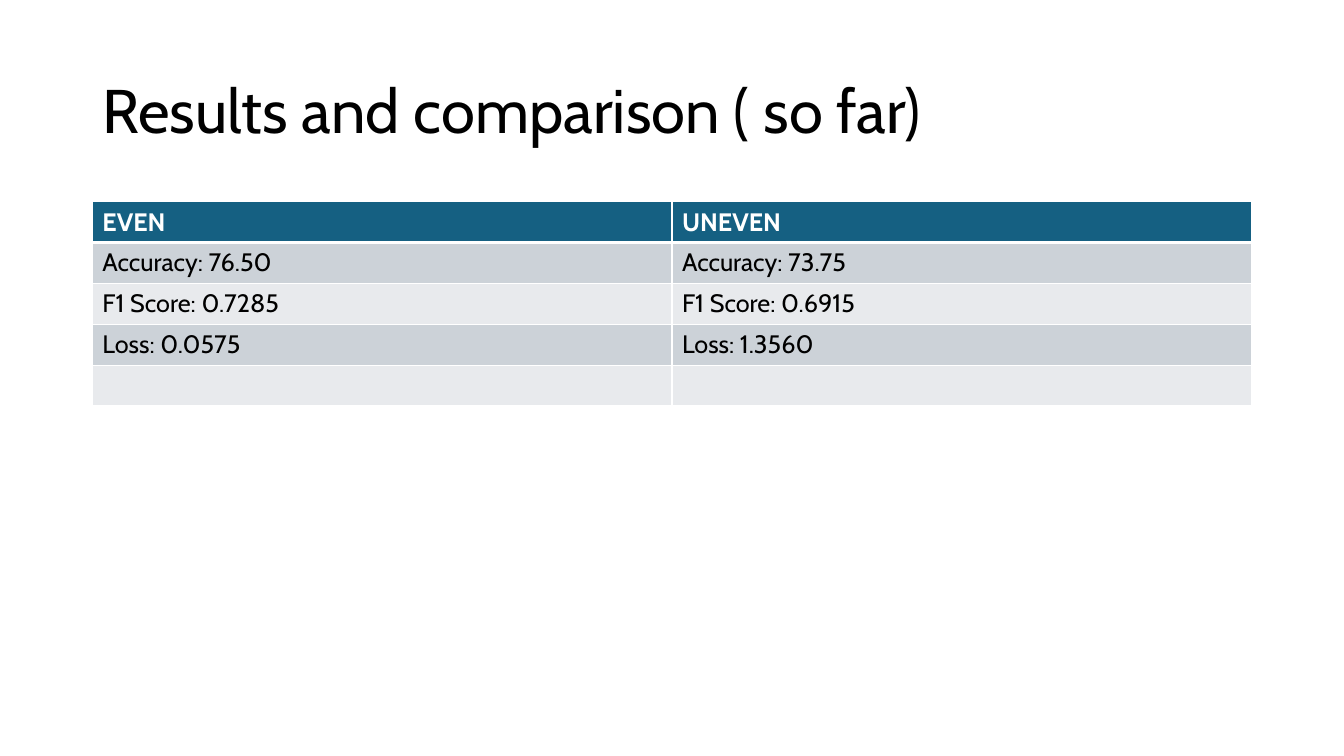
import pptx
import pptx.util
import pptx.dml.color
import pptx.enum.text
import pptx.oxml
import pptx.oxml.ns

Pt = pptx.util.Pt

TITLE = "Results and comparison ( so far)"
ROWS = [
    ("EVEN", "UNEVEN"),
    ("Accuracy: 76.50", "Accuracy: 73.75"),
    ("F1 Score: 0.7285", "F1 Score: 0.6915"),
    ("Loss: 0.0575", "Loss: 1.3560"),
    ("", ""),
]
THEME = {
    "font": "Cabin",
    "title": 44,
    "body": 18,
    "ink": "000000",
    "paper": "FFFFFF",
    "head": "156082",
    "bands": ("E8EAED", "CCD2D8"),
}
LEFT, WIDTH = 66, 828
TITLE_TOP, TITLE_HIGH = 28.8, 104.4
TABLE_TOP, ROW_HIGH = 144, 29.2


def color(name):
    return pptx.dml.color.RGBColor.from_string(name)


def style(para, size, ink, bold=False):
    font = para.font
    font.name = THEME["font"]
    font.size = Pt(size)
    font.bold = bold
    font.color.rgb = color(ink)


def edge(cell, side, width):
    space = pptx.oxml.ns.nsdecls("a")
    return pptx.oxml.parse_xml(
        f'<a:ln{side} {space} w="{Pt(width)}"><a:solidFill>'
        f'<a:srgbClr val="{THEME["paper"]}"/></a:solidFill></a:ln{side}>'
    )


def border(cell, top, base):
    props = cell._tc.get_or_add_tcPr()
    sides = {"L": 1, "R": 1, "T": top, "B": base}
    for spot, (side, width) in enumerate(sides.items()):
        props.insert(spot, edge(cell, side, width))


def add_title(slide):
    box = slide.shapes.add_textbox(
        Pt(LEFT), Pt(TITLE_TOP), Pt(WIDTH), Pt(TITLE_HIGH)
    )
    frame = box.text_frame
    frame.word_wrap = True
    frame.vertical_anchor = pptx.enum.text.MSO_ANCHOR.MIDDLE
    para = frame.paragraphs[0]
    para.text = TITLE
    para.line_spacing = 0.9
    style(para, THEME["title"], THEME["ink"])


def add_table(slide):
    count = len(ROWS[0])
    table = slide.shapes.add_table(
        len(ROWS), count, Pt(LEFT), Pt(TABLE_TOP),
        Pt(WIDTH), Pt(ROW_HIGH * len(ROWS))
    ).table
    for col in table.columns:
        col.width = Pt(WIDTH / count)
    for row, texts in enumerate(ROWS):
        table.rows[row].height = Pt(ROW_HIGH)
        head = row == 0
        fill = THEME["head"] if head else THEME["bands"][row % 2]
        ink = THEME["paper"] if head else THEME["ink"]
        for col, text in enumerate(texts):
            cell = table.cell(row, col)
            cell.fill.solid()
            cell.fill.fore_color.rgb = color(fill)
            border(cell, 3 if row == 1 else 1, 3 if head else 1)
            para = cell.text_frame.paragraphs[0]
            if text:
                para.text = text
            style(para, THEME["body"], ink, head)


def main():
    deck = pptx.Presentation()
    deck.slide_width, deck.slide_height = Pt(960), Pt(540)
    slide = deck.slides.add_slide(deck.slide_layouts[6])
    add_title(slide)
    add_table(slide)
    deck.save("out.pptx")


if __name__ == "__main__":
    main()
